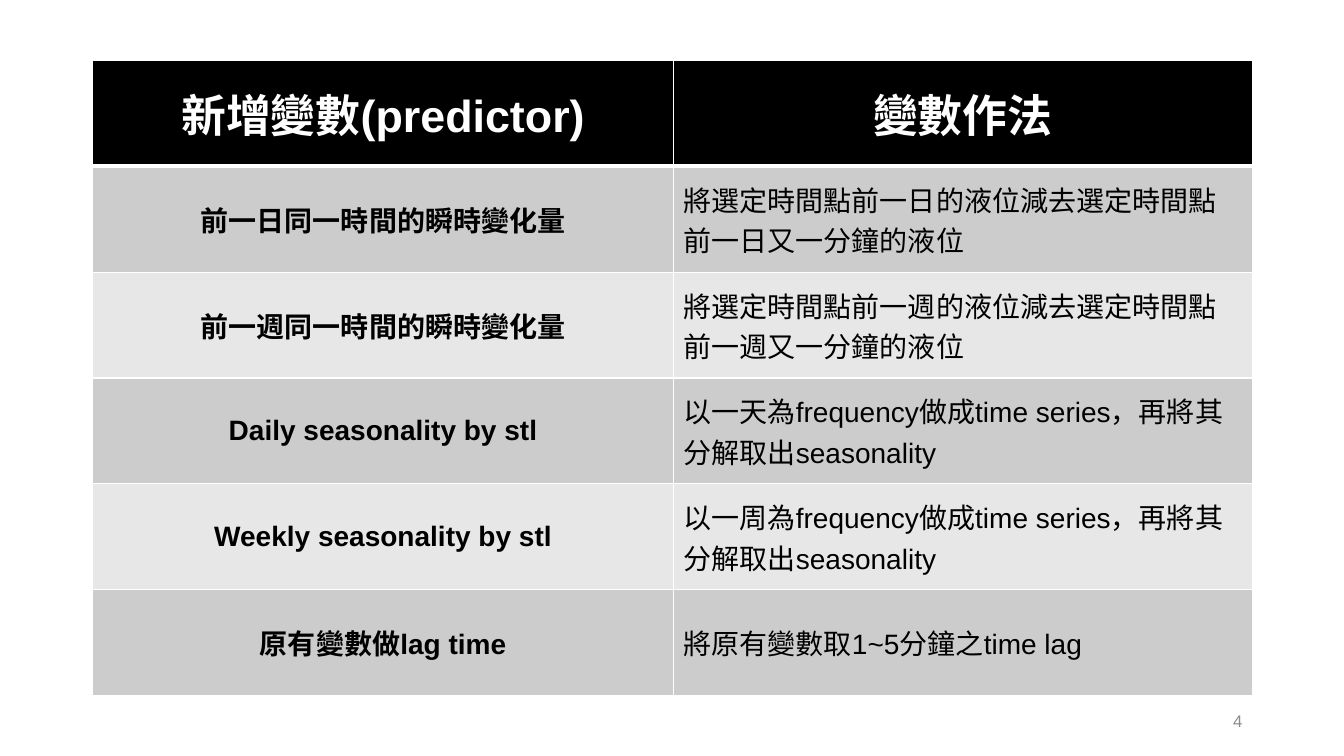
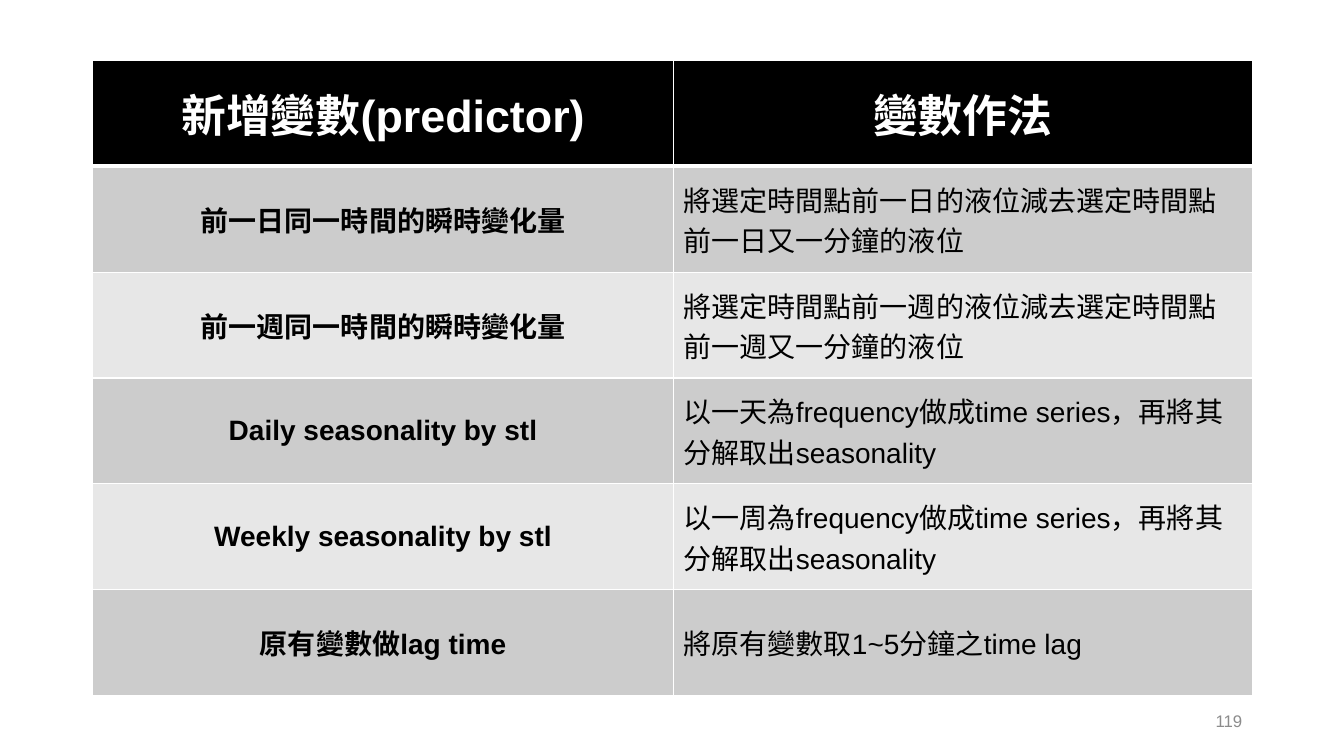
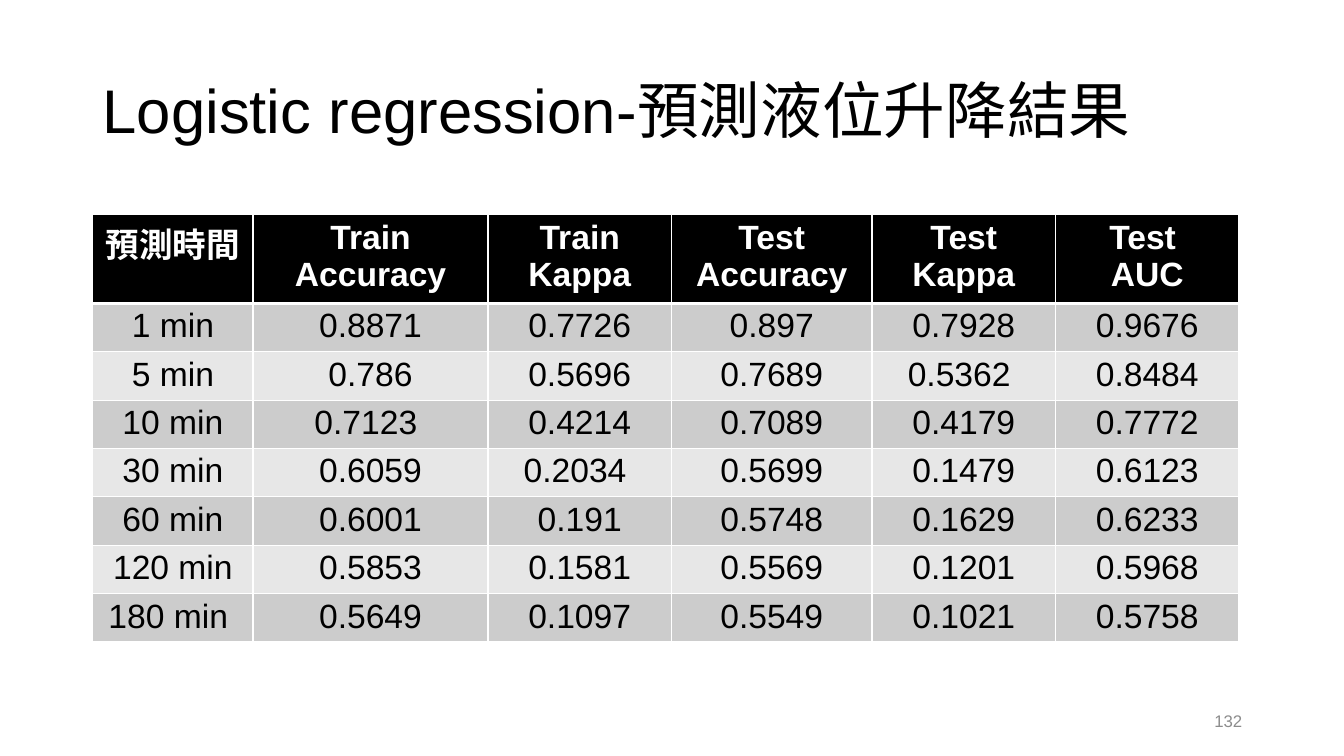
from lxml.etree import SubElement
from pptx import Presentation
from pptx.dml.color import RGBColor
from pptx.enum.text import MSO_ANCHOR, PP_ALIGN
from pptx.oxml.ns import qn
from pptx.util import Inches, Pt

FONT = "Arial"
COLORS = {
    "paper": "FFFFFF",
    "ink": "000000",
    "band_dark": "CCCCCC",
    "band_light": "E7E7E7",
    "page_number": "8C8C8C",
}

PREDICTORS = [
    ("新增變數(predictor)", "變數作法"),
    ("前一日同一時間的瞬時變化量", "將選定時間點前一日的液位減去選定時間點前一日又一分鐘的液位"),
    ("前一週同一時間的瞬時變化量", "將選定時間點前一週的液位減去選定時間點前一週又一分鐘的液位"),
    ("Daily seasonality by stl", "以一天為frequency做成time series，再將其分解取出seasonality"),
    ("Weekly seasonality by stl", "以一周為frequency做成time series，再將其分解取出seasonality"),
    ("原有變數做lag time", "將原有變數取1~5分鐘之time lag"),
]

RESULTS = [
    ("預測時間", "Train Accuracy", "Train Kappa", "Test Accuracy", "Test Kappa", "Test \nAUC"),
    ("1 min", "0.8871", "0.7726", "0.897", "0.7928", "0.9676"),
    ("5 min", "0.786", "0.5696", "0.7689", "0.5362 ", "0.8484"),
    ("10 min", "0.7123 ", "0.4214", "0.7089", "0.4179", "0.7772"),
    ("30 min", "0.6059", "0.2034 ", "0.5699", "0.1479", "0.6123"),
    ("60 min", "0.6001", "0.191", "0.5748", "0.1629", "0.6233"),
    ("120 min", "0.5853", "0.1581", "0.5569", "0.1201", "0.5968"),
    ("180 min ", "0.5649", "0.1097", "0.5549", "0.1021", "0.5758"),
]


def rgb(name):
    return RGBColor.from_string(COLORS[name])


def style_paragraph(p, size, color, bold=False, align=PP_ALIGN.LEFT):
    p.alignment = align
    p.font.name = FONT
    p.font.size = Pt(size)
    p.font.bold = bold
    p.font.color.rgb = rgb(color)


def add_text(slide, box, text, size, color, align=PP_ALIGN.LEFT):
    tf = slide.shapes.add_textbox(*map(Inches, box)).text_frame
    tf.word_wrap = True
    tf.vertical_anchor = MSO_ANCHOR.MIDDLE
    tf.text = text
    p = tf.paragraphs[0]
    style_paragraph(p, size, color, align=align)
    return p


def add_title(slide, text):
    add_text(slide, (0.92, 0.4, 11.5, 1.45), text, 44, "ink").line_spacing = 0.9


def add_page_number(slide, number):
    add_text(slide, (9.42, 6.95, 3, 0.4), str(number), 12, "page_number", PP_ALIGN.RIGHT)


def set_borders(cell, top, bottom):
    """Draw white cell borders, 1 pt at the sides and as given above and below."""
    tc_pr = cell._tc.get_or_add_tcPr()
    widths = {"a:lnL": 1, "a:lnR": 1, "a:lnT": top, "a:lnB": bottom}
    for i, (tag, width) in enumerate(widths.items()):
        ln = SubElement(tc_pr, qn(tag), w=str(Pt(width)))
        fill = SubElement(ln, qn("a:solidFill"))
        SubElement(fill, qn("a:srgbClr"), val=COLORS["paper"])
        tc_pr.insert(i, ln)


def add_banded_table(slide, left, top, col_widths, row_heights, rows, sizes,
                     left_cols=(), anchor=MSO_ANCHOR.TOP, bold_first=False, margin=0.05):
    """Add a table; sizes holds header and body points, left_cols the left-aligned columns."""
    box = (left, top, sum(col_widths), sum(row_heights))
    table = slide.shapes.add_table(len(rows), len(col_widths), *map(Inches, box)).table
    for column, width in zip(table.columns, col_widths):
        column.width = Inches(width)
    for r, (values, height) in enumerate(zip(rows, row_heights)):
        table.rows[r].height = Inches(height)
        header = r == 0
        band = "ink" if header else "band_dark" if r % 2 else "band_light"
        for c, value in enumerate(values):
            cell = table.cell(r, c)
            cell.fill.solid()
            cell.fill.fore_color.rgb = rgb(band)
            set_borders(cell, 3 if r == 1 else 1, 3 if header else 1)
            cell.vertical_anchor = anchor
            cell.margin_top = cell.margin_bottom = Inches(margin)
            cell.text_frame.text = value
            align = PP_ALIGN.LEFT if c in left_cols and not header else PP_ALIGN.CENTER
            for p in cell.text_frame.paragraphs:
                style_paragraph(p, sizes[0] if header else sizes[1],
                                "paper" if header else "ink",
                                header or (bold_first and c == 0), align)


def add_slide(prs, number):
    slide = prs.slides.add_slide(prs.slide_layouts[6])
    add_page_number(slide, number)
    return slide


def predictor_slide(prs, number):
    slide = add_slide(prs, number)
    add_banded_table(slide, 0.92, 0.6, [5.76, 5.74], [1.05] * len(PREDICTORS), PREDICTORS,
                     (32, 20), left_cols=(1,), anchor=MSO_ANCHOR.MIDDLE, bold_first=True)


def results_slide(prs, number):
    slide = add_slide(prs, number)
    add_title(slide, "Logistic regression-預測液位升降結果")
    add_banded_table(slide, 0.92, 2.13, [1.59, 2.33, 1.82, 1.99, 1.82, 1.82],
                     [0.84] + [0.47] * (len(RESULTS) - 1), RESULTS, (24, 24), margin=0.04)


def main():
    prs = Presentation()
    prs.slide_width = Inches(13.33)
    prs.slide_height = Inches(7.5)
    for number in (4, 119):
        predictor_slide(prs, number)
    results_slide(prs, 132)
    prs.save("out.pptx")


if __name__ == "__main__":
    main()
